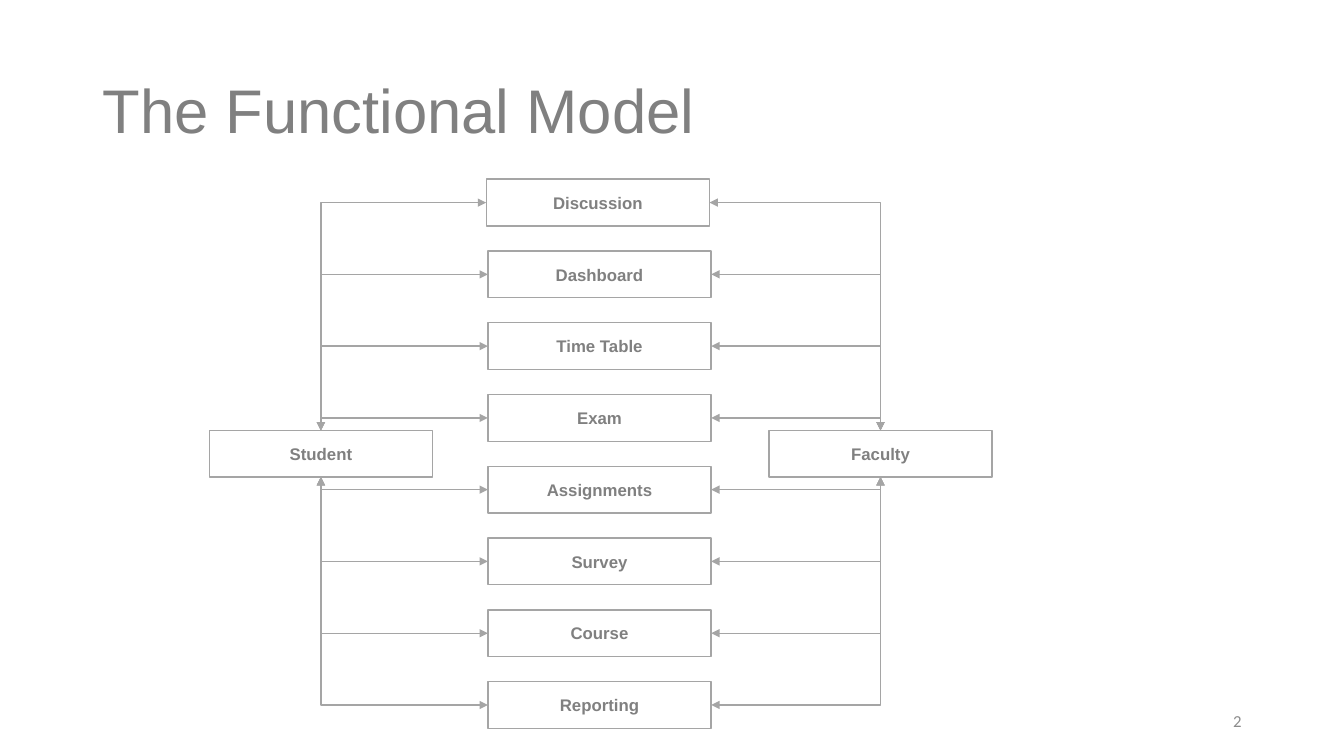
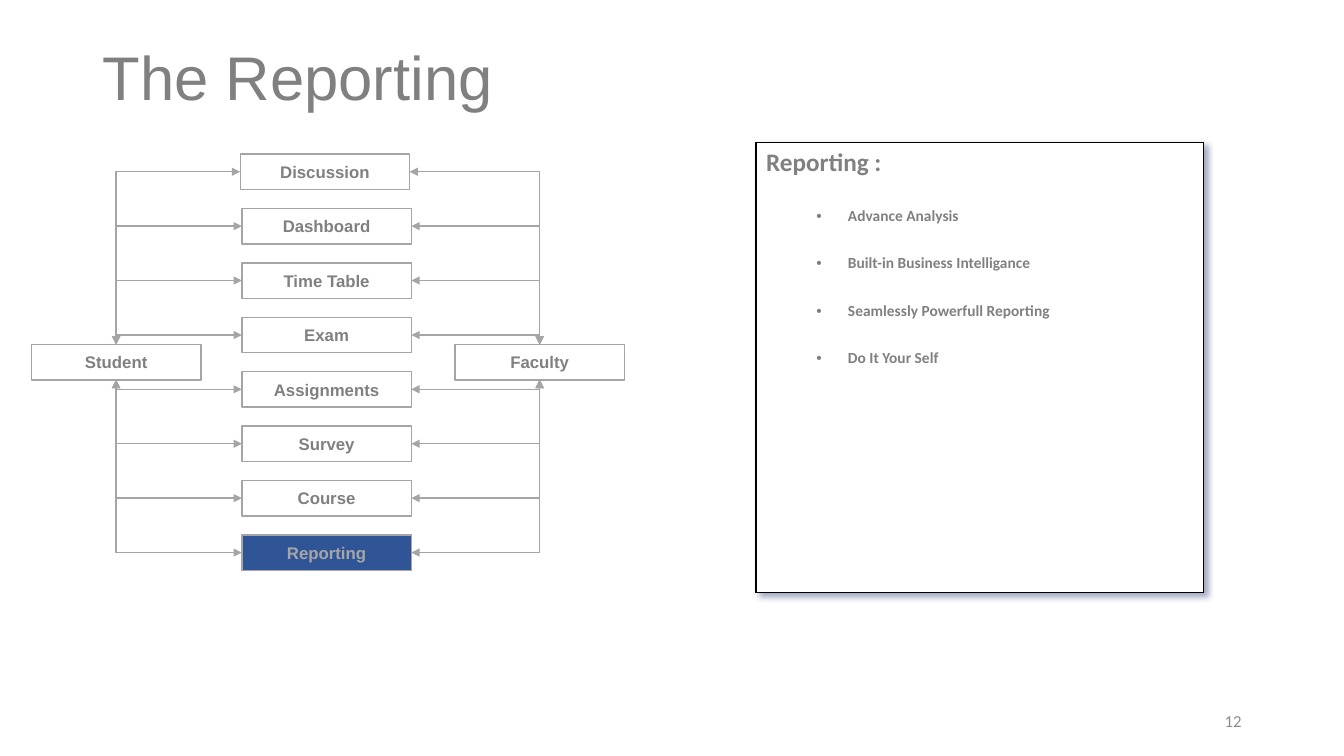
import pptx
import pptx.dml.color
import pptx.enum.shapes
import pptx.enum.text
import pptx.oxml
import pptx.oxml.ns
import pptx.util

Pt = pptx.util.Pt
RGBColor = pptx.dml.color.RGBColor
ALIGN = pptx.enum.text.PP_ALIGN
MIDDLE = pptx.enum.text.MSO_ANCHOR.MIDDLE
TOP, LEFT, BOTTOM, RIGHT = range(4)  # connection sites of a rectangle

GRAY = RGBColor(0x80, 0x80, 0x80)
LINE_GRAY = RGBColor(0xA5, 0xA5, 0xA5)
NUMBER_GRAY = RGBColor(0x8C, 0x8C, 0x8C)
ACTIVE_GRAY = RGBColor(0xA6, 0xA6, 0xA6)
ACTIVE_BLUE = RGBColor(0x2F, 0x55, 0x97)
WHITE = RGBColor(0xFF, 0xFF, 0xFF)
BLACK = RGBColor(0x00, 0x00, 0x00)
SHADOW = RGBColor(0x44, 0x54, 0x8A)

MODULES = ["Discussion", "Dashboard", "Time Table", "Exam",
           "Assignments", "Survey", "Course", "Reporting"]
FIRST_NUDGE = 1.2  # the first module sits slightly left of the others


def xml(markup):
    """Parse one DrawingML element whose tag uses the a: prefix."""
    tag, rest = markup[1:].split(" ", 1)
    return pptx.oxml.parse_xml(f"<{tag} {pptx.oxml.ns.nsdecls('a')} {rest}")


class Deck:
    def __init__(self):
        self.prs = pptx.Presentation()
        self.prs.slide_width, self.prs.slide_height = Pt(960), Pt(540)
        self.slide = None

    def style(self, p, size, color=GRAY, name="Arial", bold=False):
        p.font.size, p.font.name, p.font.bold = Pt(size), name, bold
        p.font.color.rgb = color

    def new_slide(self, title, number, top, width, height):
        self.slide = self.prs.slides.add_slide(self.prs.slide_layouts[5])
        sp = self.slide.shapes.title
        sp.left, sp.top, sp.width, sp.height = Pt(66), Pt(top), Pt(width), Pt(height)
        tf = sp.text_frame
        tf.text = title
        tf.vertical_anchor = MIDDLE
        tf.auto_size = pptx.enum.text.MSO_AUTO_SIZE.NONE
        p = tf.paragraphs[0]
        p.alignment, p.line_spacing = ALIGN.LEFT, 0.9
        self.style(p, 44)
        self.page_number(number)

    def page_number(self, number):
        tf = self.slide.shapes.add_textbox(Pt(678), Pt(500.5), Pt(216), Pt(28.8)).text_frame
        tf.word_wrap = True
        tf.vertical_anchor = MIDDLE
        tf.text = str(number)
        p = tf.paragraphs[0]
        p.alignment = ALIGN.RIGHT
        self.style(p, 12, NUMBER_GRAY, "Calibri")

    def box(self, text, x, y, w, h, active=False):
        sp = self.slide.shapes.add_shape(
            pptx.enum.shapes.MSO_SHAPE.RECTANGLE, Pt(x), Pt(y), Pt(w), Pt(h))
        sp.shadow.inherit = False
        sp.fill.solid()
        sp.fill.fore_color.rgb = ACTIVE_BLUE if active else WHITE
        sp.line.color.rgb, sp.line.width = LINE_GRAY, Pt(1)
        tf = sp.text_frame
        tf.word_wrap = True
        tf.vertical_anchor = MIDDLE
        tf.text = text
        p = tf.paragraphs[0]
        p.alignment = ALIGN.CENTER
        self.style(p, 12, ACTIVE_GRAY if active else GRAY, bold=True)
        return sp

    def elbow(self, module, side, actor, end):
        """Join a module's side to an actor with one bend and two arrowheads."""
        cxn = self.slide.shapes.add_connector(
            pptx.enum.shapes.MSO_CONNECTOR.ELBOW, 0, 0, 0, 0)
        cxn.begin_connect(module, side)
        cxn.end_connect(actor, end)
        cxn.line.color.rgb, cxn.line.width = LINE_GRAY, Pt(1)
        props = cxn.element.spPr
        props.find(pptx.oxml.ns.qn("a:prstGeom")).set("prst", "bentConnector2")
        ln = props.find(pptx.oxml.ns.qn("a:ln"))
        for tag in ("headEnd", "tailEnd"):
            ln.append(xml(f'<a:{tag} type="triangle"/>'))
        props.append(xml("<a:effectLst />"))

    def model(self, student_x, module_x, faculty_x, top, pitch, w, h, active=None):
        """Draw the modules in a column, with both actors halfway down."""
        middle = top + pitch * (len(MODULES) - 1) / 2
        student = self.box("Student", student_x, middle, w, h)
        faculty = self.box("Faculty", faculty_x, middle, w, h)
        for i, name in enumerate(MODULES):
            x = module_x - (FIRST_NUDGE if i == 0 else 0)
            module = self.box(name, x, top + i * pitch, w, h, name == active)
            end = TOP if i < len(MODULES) / 2 else BOTTOM
            self.elbow(module, LEFT, student, end)
            self.elbow(module, RIGHT, faculty, end)

    def panel(self, heading, items, x, y, w, h):
        """Draw a one-cell table with a heading, bullets and a soft shadow."""
        table = self.slide.shapes.add_table(1, 1, Pt(x), Pt(y), Pt(w), Pt(h)).table
        table.first_row = table.horz_banding = False
        table._tbl.tblPr.insert(0, xml(
            f'<a:effectLst ><a:outerShdw blurRad="{Pt(4)}" dist="{Pt(3)}" dir="2700000" '
            f'algn="tl" rotWithShape="0"><a:srgbClr val="{SHADOW}"><a:alpha val="50000"/>'
            '</a:srgbClr></a:outerShdw></a:effectLst>'))
        cell = table.cell(0, 0)
        cell.fill.solid()
        cell.fill.fore_color.rgb = WHITE
        for i, tag in enumerate(("lnL", "lnR", "lnT", "lnB")):
            cell._tc.tcPr.insert(i, xml(
                f'<a:{tag} w="{Pt(1)}"><a:solidFill><a:srgbClr val="{BLACK}"/>'
                f'</a:solidFill></a:{tag}>'))
        tf = cell.text_frame
        tf.text = heading
        self.style(tf.paragraphs[0], 18, name="Calibri", bold=True)
        for item in items:
            p = tf.add_paragraph()
            p.text, p.level, p.line_spacing = item, 1, 2.5
            props = p._p.get_or_add_pPr()
            props.set("marL", str(Pt(58.5)))
            props.set("indent", str(Pt(-22.5)))
            props.append(xml('<a:buFont typeface="Arial"/>'))
            props.append(xml('<a:buChar char="•"/>'))
            self.style(p, 11, name="Calibri", bold=True)


def main():
    deck = Deck()
    deck.new_slide("The Functional Model", 2, top=28.8, width=828, height=104.4)
    deck.model(149.5, 348.5, 549.2, top=128, pitch=51.27, w=159.5, h=33.4)

    deck.new_slide("The Reporting", 12, top=28.8, width=459.4, height=57.6)
    deck.model(22.5, 172.8, 325, top=110, pitch=38.87, w=121, h=25.3, active="Reporting")
    deck.panel("Reporting :",
               ["Advance Analysis", "Built-in Business Intelligance",
                "Seamlessly Powerfull Reporting", "Do It Your Self"],
               540, 101.5, 319.7, 322)
    deck.prs.save("out.pptx")


if __name__ == "__main__":
    main()
